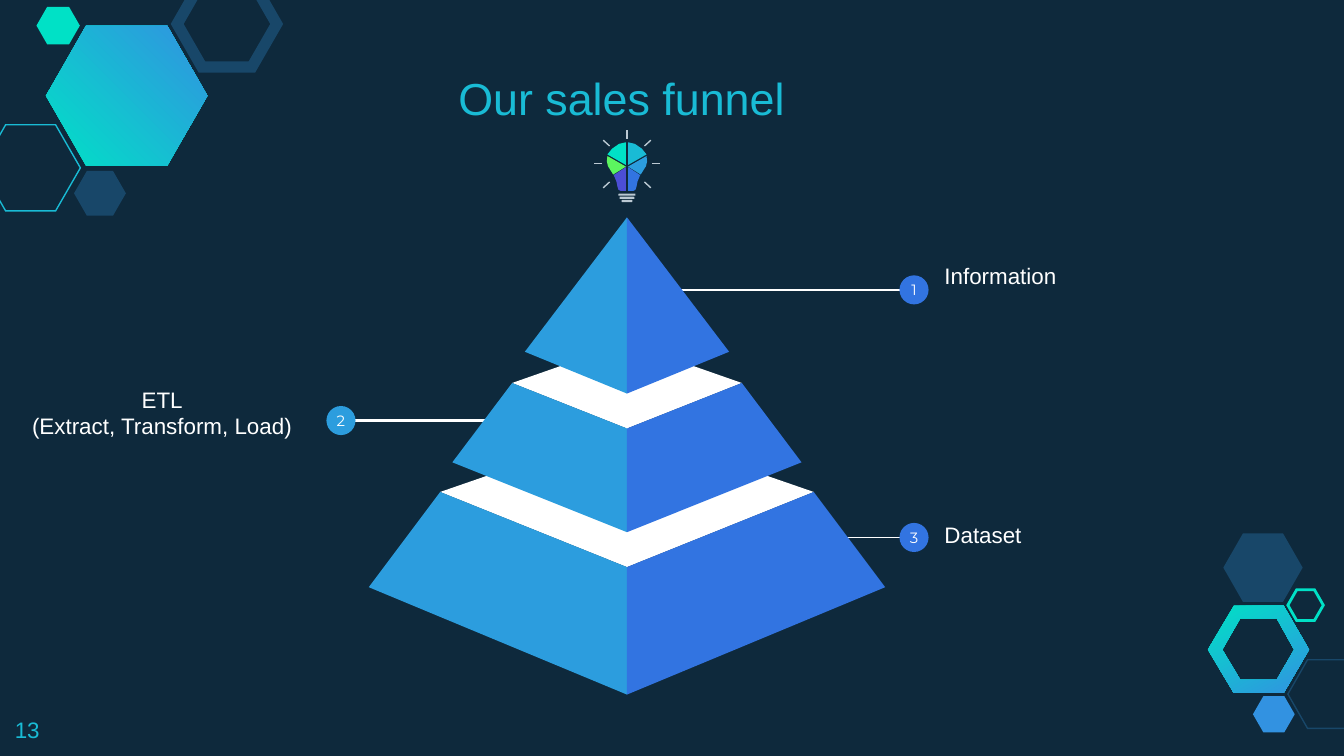
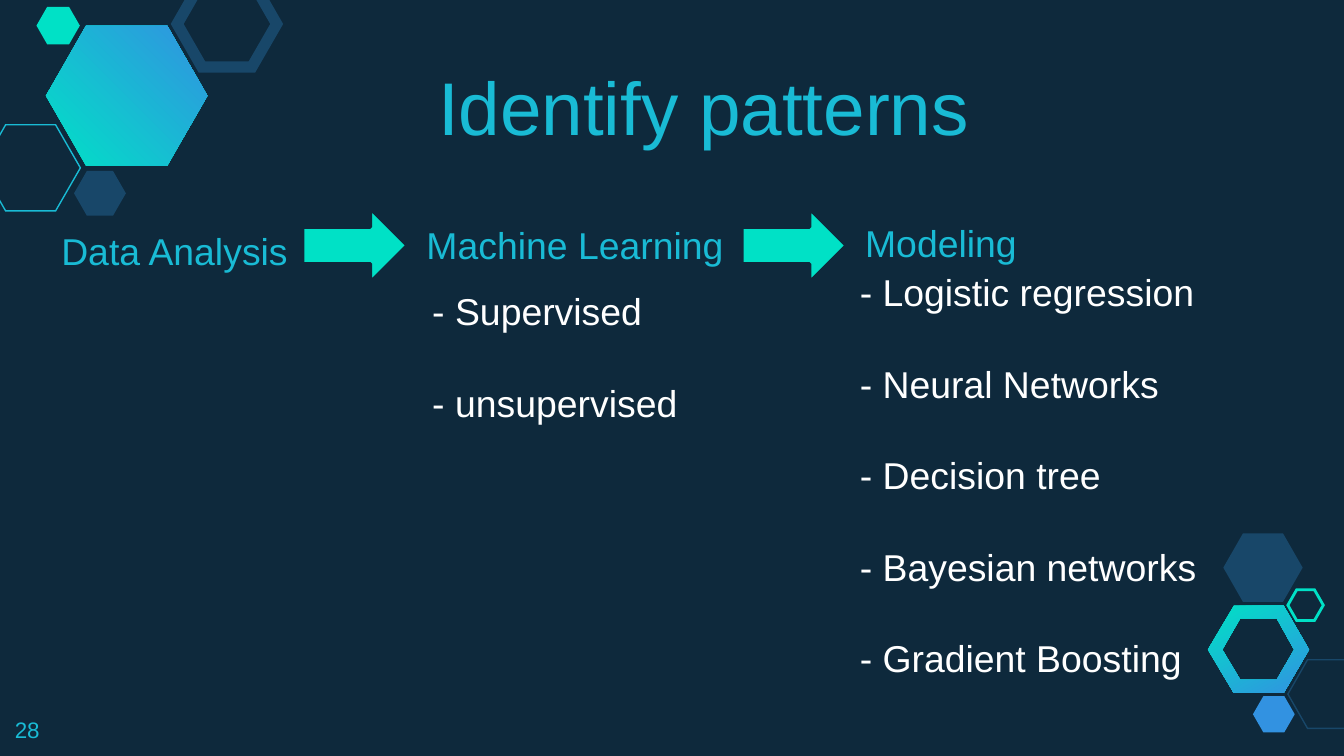
import lxml.etree
import pptx
import pptx.dml.color
import pptx.enum.shapes
import pptx.enum.text
import pptx.oxml.ns
import pptx.util

Cm = pptx.util.Cm
Pt = pptx.util.Pt
RGBColor = pptx.dml.color.RGBColor
Shape = pptx.enum.shapes.MSO_SHAPE
Align = pptx.enum.text.PP_ALIGN
Anchor = pptx.enum.text.MSO_ANCHOR
qn = pptx.oxml.ns.qn

NIGHT = RGBColor(0x0E, 0x29, 0x3C)
NAVY = RGBColor(0x18, 0x47, 0x69)
CYAN = RGBColor(0x19, 0xBB, 0xD5)
TEAL = RGBColor(0x00, 0xE1, 0xC6)
AZURE = RGBColor(0x32, 0x92, 0xE1)
SKY = RGBColor(0x2C, 0x9D, 0xDE)
BLUE = RGBColor(0x32, 0x74, 0xE1)
VIOLET = RGBColor(0x4C, 0x4E, 0xD5)
LIME = RGBColor(0x5C, 0xF5, 0x5F)
SILVER = RGBColor(0xBB, 0xC9, 0xD3)
WHITE = RGBColor(0xFF, 0xFF, 0xFF)

AXIS = 11.85
HEXAGON_RATIO = 0.866
BADGE_SIZE = 0.55
RING = [
    [(22.83, 12.28), (23.32, 11.45), (24.26, 11.45),
     (24.74, 12.28), (24.26, 13.1), (23.32, 13.1)],
    [(23.1, 12.28), (23.44, 12.85), (24.13, 12.85),
     (24.46, 12.28), (24.13, 11.69), (23.44, 11.69)],
]
HEXAGONS = [
    (-0.36, 2.36, 1.88, None, CYAN, 0.75),
    (1.4, 3.23, 0.98, NAVY, None, 0),
    (3.35, -0.36, 1.88, None, NAVY, 6),
    (0.69, 0.13, 0.82, TEAL, None, 0),
    (24.34, 12.47, 1.5, None, NAVY, 0.75),
    (23.68, 13.16, 0.79, AZURE, None, 0),
    (23.12, 10.08, 1.5, NAVY, None, 0),
    (24.34, 11.15, 0.67, None, TEAL, 1.5),
]
PYRAMID_TIERS = [
    ([(3.53, 9.3), (4.88, 11.1), (0, 13.13), (0, 10.72)], 8.08),
    ([(2.17, 7.24), (3.3, 8.74), (0, 10.06), (0, 8.1)], 6.48),
    ([(0, 4.11), (1.93, 6.65), (0, 7.44)], None),
]
BULB_SEGMENTS = [
    ([(0.02, 3.12), (0.02, 2.69), (0.15, 2.72), (0.28, 2.81), (0.37, 2.92)],
     TEAL, CYAN),
    ([(0.02, 3.15), (0.37, 2.95), (0.38, 3.05), (0.36, 3.14), (0.31, 3.22),
      (0.26, 3.3)], LIME, SKY),
    ([(0.02, 3.16), (0.25, 3.31), (0.2, 3.43), (0.18, 3.53), (0.16, 3.59),
      (0.12, 3.61), (0.02, 3.61)], VIOLET, BLUE),
]
BULB_RAYS = [
    ((0.33, 2.76), (0.45, 2.65)),
    ((0.47, 3.09), (0.63, 3.09)),
    ((0.33, 3.44), (0.45, 3.55)),
]
BULB_BASE = [(0.32, 3.66), (0.28, 3.72), (0.2, 3.78)]


def mirrored(points, side):
    return [(AXIS + side * x, y) for x, y in points]


class Page:
    font = "Arial"
    badge_font = "Montserrat"

    def __init__(self, deck, number):
        self.slide = deck.slides.add_slide(deck.slide_layouts[6])
        self.shapes = self.slide.shapes
        self.slide.background.fill.solid()
        self.slide.background.fill.fore_color.rgb = NIGHT
        self.gradient(self.outline(RING, TEAL), 300)
        self.gradient(self.hexagon(0.87, 0.49, 3.05, TEAL), 45)
        for spot in HEXAGONS:
            self.hexagon(*spot)
        self.text(0.03, 13.28, 1.52, 0.99, [number], 12, CYAN, anchor=Anchor.TOP)

    def paint(self, shape, fill, line=None, weight=0):
        shape.shadow.inherit = False
        if fill is None:
            shape.fill.background()
        else:
            shape.fill.solid()
            shape.fill.fore_color.rgb = fill
        if line is None:
            shape.line.fill.background()
        else:
            shape.line.color.rgb = line
            shape.line.width = Pt(weight)
        return shape

    def gradient(self, shape, angle):
        shape.fill.gradient()
        shape.fill.gradient_angle = angle
        for stop, color in zip(shape.fill.gradient_stops, (TEAL, AZURE)):
            stop.color.rgb = color

    def preset(self, kind, left, top, width, height, fill, line=None, weight=0):
        shape = self.shapes.add_shape(
            kind, Cm(left), Cm(top), Cm(width), Cm(height))
        return self.paint(shape, fill, line, weight)

    def hexagon(self, left, top, width, fill, line=None, weight=0):
        shape = self.preset(Shape.HEXAGON, left, top, width,
                            width * HEXAGON_RATIO, fill, line, weight)
        shape.adjustments[0] = 0.287
        if line is not None:
            border = shape._element.spPr.find(qn("a:ln"))
            lxml.etree.SubElement(border, qn("a:miter"), lim="800000")
        return shape

    def outline(self, contours, fill):
        builder = None
        for contour in contours:
            points = [(Cm(x), Cm(y)) for x, y in contour]
            if builder is None:
                builder = self.shapes.build_freeform(*points[0])
            else:
                builder.move_to(*points[0])
            builder.add_line_segments(points[1:], close=True)
        return self.paint(builder.convert_to_shape(), fill)

    def line(self, start, end, color, weight):
        connector = self.shapes.add_connector(
            pptx.enum.shapes.MSO_CONNECTOR.STRAIGHT,
            Cm(start[0]), Cm(start[1]), Cm(end[0]), Cm(end[1]))
        connector.line.color.rgb = color
        connector.line.width = Pt(weight)
        lxml.etree.SubElement(connector._element.spPr, qn("a:effectLst"))

    def set_lines(self, frame, lines, size, color, font, align, gap=0):
        for index, words in enumerate(lines):
            para = frame.paragraphs[0] if index == 0 else frame.add_paragraph()
            para.text = words
            para.alignment = align
            para.space_before = Pt(gap if index else 0)
            para.font.size = Pt(size)
            para.font.name = font
            para.font.color.rgb = color

    def text(self, left, top, width, height, lines, size, color,
             align=Align.LEFT, anchor=Anchor.BOTTOM, gap=0):
        box = self.shapes.add_textbox(Cm(left), Cm(top), Cm(width), Cm(height))
        frame = box.text_frame
        frame.word_wrap = True
        frame.vertical_anchor = anchor
        frame.margin_left = frame.margin_right = Cm(0.25)
        frame.margin_top = frame.margin_bottom = Cm(0.25)
        self.set_lines(frame, lines, size, color, self.font, align, gap)

    def badge(self, number, left, top, color):
        shape = self.preset(Shape.OVAL, left, top, BADGE_SIZE, BADGE_SIZE, color)
        frame = shape.text_frame
        frame.word_wrap = False
        frame.vertical_anchor = Anchor.MIDDLE
        frame.margin_left = frame.margin_right = 0
        frame.margin_top = frame.margin_bottom = 0
        self.set_lines(frame, [number], 8, WHITE, self.badge_font, Align.CENTER)

    def pyramid(self):
        for face, back in PYRAMID_TIERS:
            if back is not None:
                corner, front = face[0], face[-1]
                self.outline([[*mirrored([corner], -1), *mirrored([front], 1),
                               *mirrored([corner], 1), (AXIS, back)]], WHITE)
            for side, color in ((-1, SKY), (1, BLUE)):
                self.outline([mirrored(face, side)], color)

    def bulb(self):
        self.line((AXIS, 2.46), (AXIS, 2.63), SILVER, 0.75)
        for side in (-1, 1):
            for ray in BULB_RAYS:
                self.line(*mirrored(ray, side), SILVER, 0.75)
        for width, top in BULB_BASE:
            self.preset(Shape.ROUNDED_RECTANGLE, AXIS - width / 2, top,
                        width, 0.04, SILVER)
        for points, left_color, right_color in BULB_SEGMENTS:
            self.outline([mirrored(points, -1)], left_color)
            self.outline([mirrored(points, 1)], right_color)


def build_funnel(deck):
    page = Page(deck, "13")
    page.text(7.67, 0.81, 8.15, 1.8, ["Our sales funnel"], 24, CYAN, Align.CENTER)
    callouts = [
        ("3", (15.93, 10.16), 17, BLUE, 0.75,
         "Dataset", 17.6, 8.18, 5.18, Align.LEFT),
        ("2", (9.25, 7.95), 6.17, SKY, 2,
         "ETL\n(Extract, Transform, Load)", 0.03, 5.88, 6.07, Align.CENTER),
        ("1", (12.78, 5.48), 17, BLUE, 1,
         "Information", 17.6, 3.29, 5.18, Align.LEFT),
    ]
    for number, start, left, color, weight, words, x, y, width, align in callouts:
        middle = start[1]
        page.line(start, (left + BADGE_SIZE / 2, middle), WHITE, weight)
        page.text(x, y, width, 3.84, [words], 12, WHITE, align, Anchor.MIDDLE)
        page.badge(number, left, middle - BADGE_SIZE / 2, color)
    page.pyramid()
    page.bulb()


def build_patterns(deck):
    page = Page(deck, "28")
    page.text(8.03, 1.3, 13.74, 1.8, ["Identify patterns"], 40, CYAN)
    headings = [
        ("Data Analysis", 0, 3.84, 6.6, Align.CENTER),
        ("Machine Learning", 6.22, 3.72, 9.3, Align.CENTER),
        ("Modeling", 16.1, 3.68, 9.3, Align.LEFT),
    ]
    for words, left, top, width, align in headings:
        page.text(left, top, width, 1.57, [words], 20, CYAN, align)
    page.text(7.92, 5.27, 8, 3.01, ["- Supervised", "- unsupervised"],
              20, WHITE, gap=25)
    models = ["- Logistic regression", "- Neural Networks", "- Decision tree",
              "- Bayesian networks", "- Gradient Boosting"]
    page.text(16, 5.02, 9.3, 8.09, models, 20, WHITE, gap=25)
    for left in (5.72, 14.02):
        page.preset(Shape.RIGHT_ARROW, left, 3.94, 1.98, 1.4, TEAL, NIGHT, 2)


def main():
    deck = pptx.Presentation()
    deck.slide_width = Cm(25.4)
    deck.slide_height = Cm(14.29)
    build_funnel(deck)
    build_patterns(deck)
    deck.save("out.pptx")


if __name__ == "__main__":
    main()
